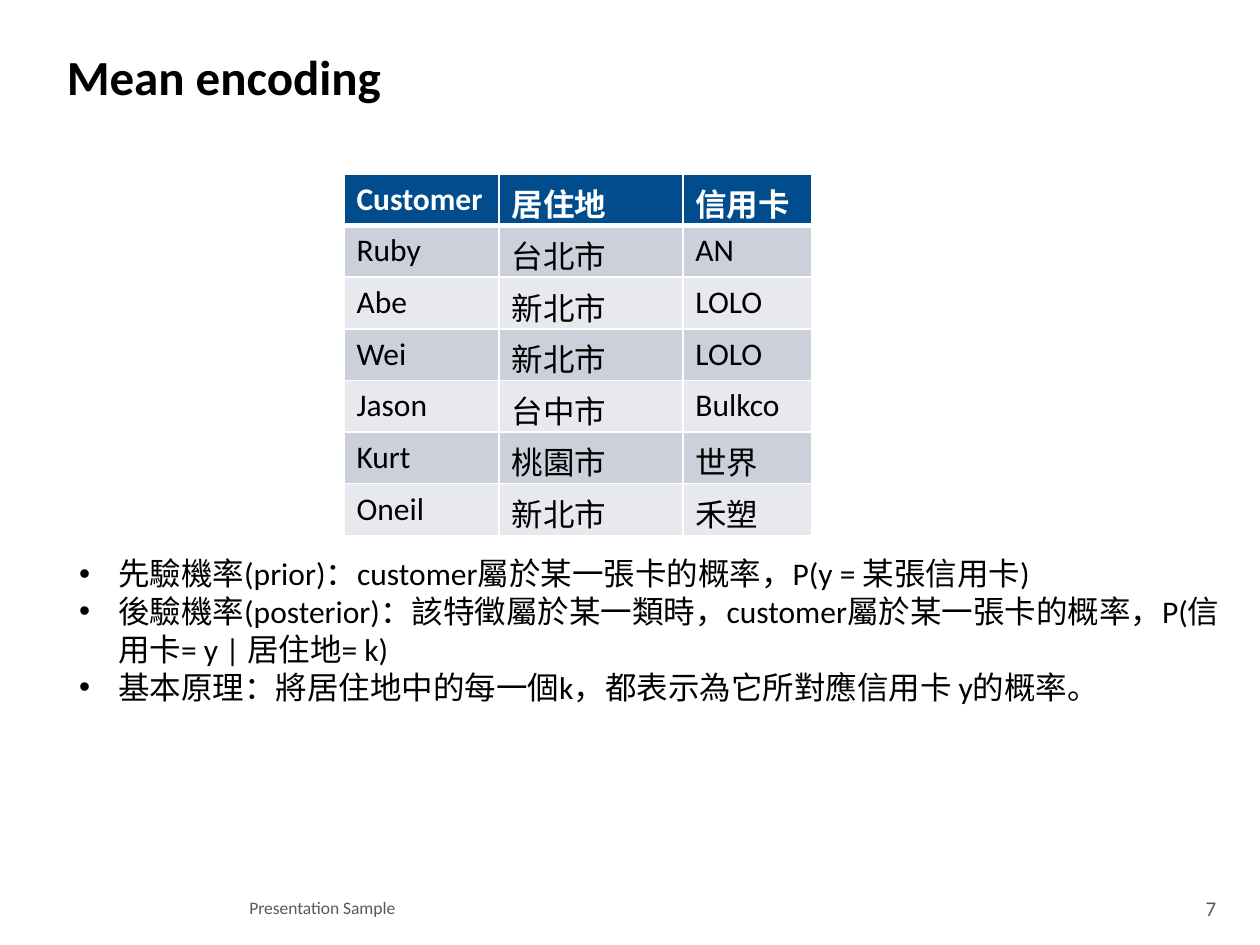
from lxml.etree import SubElement
from pptx import Presentation
from pptx.dml.color import RGBColor
from pptx.enum.text import MSO_ANCHOR as Anchor, PP_ALIGN as Align
from pptx.oxml.ns import qn
from pptx.util import Inches, Pt

FONT = "Calibri"
BLACK, WHITE, GREY = "000000", "FFFFFF", "595959"
HEADER_FILL, BAND_FILLS = "004C8D", ("CCD0DB", "E7E9EE")

CUSTOMERS = [
    ("Customer", "居住地", "信用卡"),
    ("Ruby", "台北市", "AN"),
    ("Abe", "新北市", "LOLO"),
    ("Wei", "新北市", "LOLO"),
    ("Jason", "台中市", "Bulkco"),
    ("Kurt", "桃園市", "世界"),
    ("Oneil", "新北市", "禾塑"),
]
COLUMN_WIDTHS = (1.23, 1.46, 1.02)
ROW_HEIGHT = 0.41

DEFINITIONS = [
    "先驗機率(prior)：customer屬於某一張卡的概率，P(y = 某張信用卡)",
    "後驗機率(posterior)：該特徵屬於某一類時，customer屬於某一張卡的概率，"
    "P(信用卡= y | 居住地= k)",
    "基本原理：將居住地中的每一個k，都表示為它所對應信用卡 y的概率。",
]


def color(hex_string):
    return RGBColor.from_string(hex_string)


def write(paragraph, text, size, hex_color, bold=False):
    """Put one formatted, left-aligned run into a paragraph."""
    paragraph.alignment = Align.LEFT
    run = paragraph.add_run()
    run.text = text
    for name, value in {"name": FONT, "size": Pt(size), "bold": bold}.items():
        setattr(run.font, name, value)
    run.font.color.rgb = color(hex_color)


def place(shape, left, top, width, height):
    position = {"left": left, "top": top, "width": width, "height": height}
    for name, value in position.items():
        setattr(shape, name, Inches(value))


def add_title(slide, text):
    title = slide.shapes.title
    place(title, 0.43, 0.3, 9.13, 0.61)
    title.text_frame.vertical_anchor = Anchor.MIDDLE
    write(title.text_frame.paragraphs[0], text, 28, BLACK, bold=True)


def add_text_frame(slide, box, anchor=Anchor.TOP):
    frame = slide.shapes.add_textbox(*map(Inches, box)).text_frame
    frame.word_wrap = True
    frame.vertical_anchor = anchor
    return frame


def add_footer(slide, text, size, box):
    frame = add_text_frame(slide, box, Anchor.MIDDLE)
    write(frame.paragraphs[0], text, size, GREY)


def add_bullets(slide, lines, box):
    frame = add_text_frame(slide, box)
    for index, line in enumerate(lines):
        paragraph = frame.add_paragraph() if index else frame.paragraphs[0]
        write(paragraph, line, 18, BLACK)
        properties = paragraph._p.get_or_add_pPr()
        properties.set("marL", str(Inches(0.31)))
        properties.set("indent", str(-Inches(0.31)))
        SubElement(properties, qn("a:buFont"), typeface="Arial")
        SubElement(properties, qn("a:buChar"), char="•")


def set_borders(cell, widths):
    """Draw white cell borders, given as side letter to points."""
    for side, points in widths.items():
        line = SubElement(cell._tc.get_or_add_tcPr(), qn(f"a:ln{side}"),
                          w=str(Pt(points)))
        fill = SubElement(line, qn("a:solidFill"))
        SubElement(fill, qn("a:srgbClr"), val=WHITE)


def add_customer_table(slide, rows, left, top):
    table = slide.shapes.add_table(
        len(rows), len(COLUMN_WIDTHS), Inches(left), Inches(top),
        Inches(sum(COLUMN_WIDTHS)), Inches(ROW_HEIGHT * len(rows))).table
    for column, width in zip(table.columns, COLUMN_WIDTHS):
        column.width = Inches(width)
    for r, values in enumerate(rows):
        header = r == 0
        fill = HEADER_FILL if header else BAND_FILLS[(r - 1) % 2]
        for c, value in enumerate(values):
            cell = table.cell(r, c)
            # The thick rule under the header is shared with the first row
            set_borders(cell, {"L": 1, "R": 1, "T": 3 if r == 1 else 1,
                               "B": 3 if header else 1})
            cell.fill.solid()
            cell.fill.fore_color.rgb = color(fill)
            write(cell.text_frame.paragraphs[0], value, 18,
                  WHITE if header else BLACK, bold=header)


def main():
    deck = Presentation()
    deck.slide_width, deck.slide_height = Inches(10), Inches(7.5)
    slide = deck.slides.add_slide(deck.slide_layouts[5])

    add_title(slide, "Mean encoding")

    # Footer: page number and deck name
    add_footer(slide, "7", 12, (9.47, 7.05, 0.53, 0.31))
    add_footer(slide, "Presentation Sample", 10, (1.88, 7.05, 4.21, 0.31))

    # Definitions below the customer table
    add_bullets(slide, DEFINITIONS, (0.53, 4.35, 9.38, 1.31))
    add_customer_table(slide, CUSTOMERS, 2.73, 1.38)

    deck.save("out.pptx")


if __name__ == "__main__":
    main()
